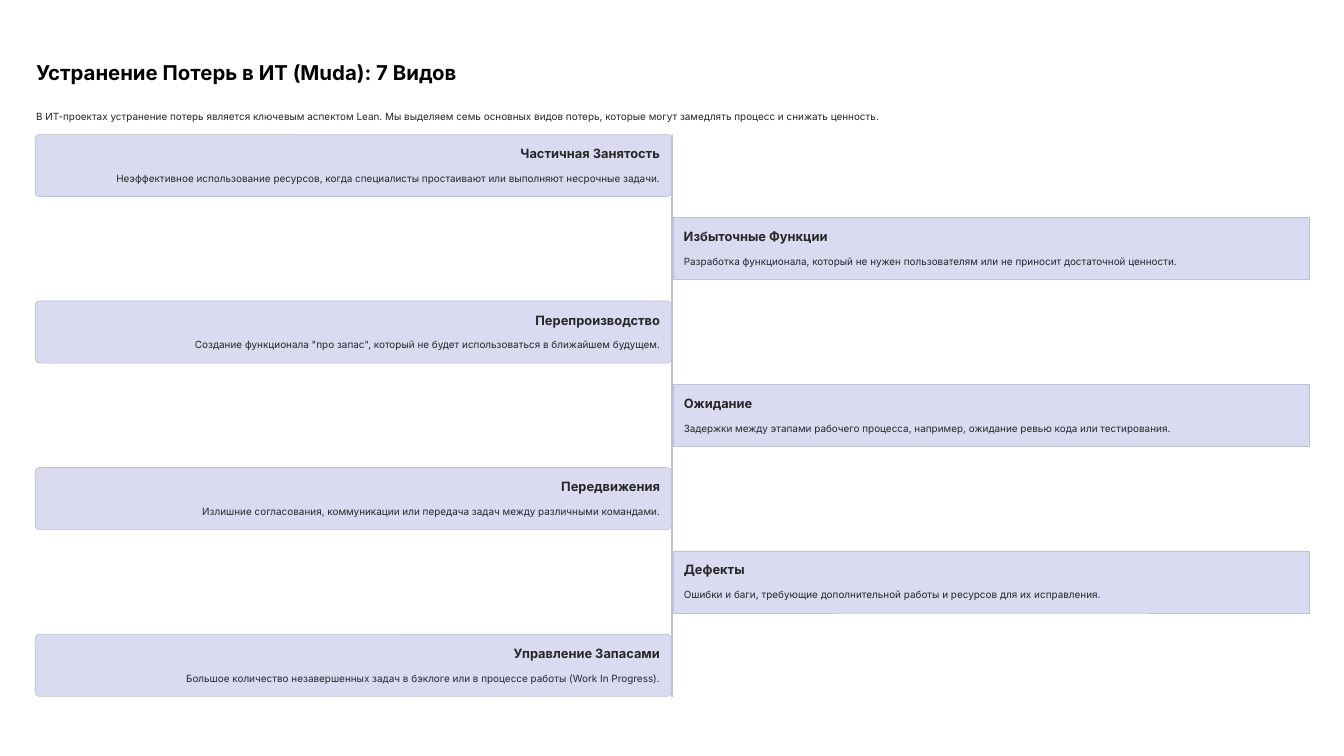
from pptx import Presentation
from pptx.dml.color import RGBColor
from pptx.enum import shapes, text
from pptx.util import Inches, Pt

TITLE = "Устранение Потерь в ИТ (Muda): 7 Видов"
INTRO = ("В ИТ-проектах устранение потерь является ключевым аспектом Lean. Мы выделяем семь основных "
         "видов потерь, которые могут замедлять процесс и снижать ценность.")

# Heading, heading width, description
WASTES = [
    ("Частичная Занятость", 1.68,
     "Неэффективное использование ресурсов, когда специалисты простаивают или выполняют несрочные задачи."),
    ("Избыточные Функции", 1.73,
     "Разработка функционала, который не нужен пользователям или не приносит достаточной ценности."),
    ("Перепроизводство", 1.55,
     "Создание функционала \"про запас\", который не будет использоваться в ближайшем будущем."),
    ("Ожидание", 1.55,
     "Задержки между этапами рабочего процесса, например, ожидание ревью кода или тестирования."),
    ("Передвижения", 1.55,
     "Излишние согласования, коммуникации или передача задач между различными командами."),
    ("Дефекты", 1.55,
     "Ошибки и баги, требующие дополнительной работы и ресурсов для их исправления."),
    ("Управление Запасами", 1.76,
     "Большое количество незавершенных задач в бэклоге или в процессе работы (Work In Progress)."),
]

COLORS = {"title": "000000", "body": "272525", "card": "DADBF1", "edge": "C0C1D7"}
FONT = "Inter"
LEFT, RIGHT = text.PP_ALIGN.LEFT, text.PP_ALIGN.RIGHT
HEADING = {"size": 11, "spacing": 13.5, "bold": True}
BODY = {"size": 8.5, "spacing": 14}

# Card grid
TOP, LAST_TOP = 1.6, 7.55
STEP = (LAST_TOP - TOP) / (len(WASTES) - 1)
CARD_WIDTH, CARD_HEIGHT = 7.57, 0.74
LEFT_CARD, RIGHT_CARD = 0.42, 8.02
TEXT_WIDTH = 7.31

deck = Presentation()
deck.slide_width, deck.slide_height = Inches(16), Inches(9)
page = deck.slides.add_slide(deck.slide_layouts[5])


def color(name):
    return RGBColor.from_string(COLORS[name])


def write(words, left, top, width, height, *, size, spacing, bold=False,
          align=LEFT, ink="body", box=None):
    area = [Inches(length) for length in (left, top, width, height)]
    if box is None:
        box = page.shapes.add_textbox(*area)
    box.left, box.top, box.width, box.height = area
    frame = box.text_frame
    frame.margin_left = frame.margin_right = frame.margin_top = frame.margin_bottom = 0
    frame.word_wrap = False
    frame.auto_size = text.MSO_AUTO_SIZE.NONE
    frame.vertical_anchor = text.MSO_ANCHOR.TOP
    para = frame.paragraphs[0]
    para.alignment = align
    para.line_spacing = Pt(spacing)
    para.space_before = Pt(0)
    span = para.add_run()
    span.text = words
    span.font.name, span.font.size, span.font.bold = FONT, Pt(size), bold
    span.font.color.rgb = color(ink)


def panel(kind, left, top, width, height, fill, corner=None, edge=None):
    shape = page.shapes.add_shape(kind, *[Inches(length) for length in (left, top, width, height)])
    shape.shadow.inherit = False
    shape.fill.solid()
    shape.fill.fore_color.rgb = color(fill)
    if corner is not None:
        shape.adjustments[0] = corner
    if edge:
        shape.line.color.rgb = color(edge)
        shape.line.width = Pt(0.6)
    else:
        shape.line.fill.background()


# Title and introduction
write(TITLE, 0.43, 0.7, 5.11, 0.31, size=17.5, spacing=22, bold=True,
      ink="title", box=page.shapes.title)
write(INTRO, 0.43, 1.26, 15.13, 0.2, **BODY)

# Central axis
panel(shapes.MSO_SHAPE.ROUNDED_RECTANGLE, 7.99, TOP, 0.02, 6.7, "edge", corner=0.5)

# Cards alternate on both sides of the axis
for index, (heading, heading_width, description) in enumerate(WASTES):
    top = TOP + index * STEP
    if index % 2 == 0:
        panel(shapes.MSO_SHAPE.ROUNDED_RECTANGLE, LEFT_CARD, top, CARD_WIDTH, CARD_HEIGHT,
              "card", corner=0.07, edge="edge")
        text_left, align = LEFT_CARD + 0.13, RIGHT
        heading_left = text_left + TEXT_WIDTH - heading_width
    else:
        panel(shapes.MSO_SHAPE.RECTANGLE, RIGHT_CARD, top, CARD_WIDTH, CARD_HEIGHT,
              "card", edge="edge")
        text_left, align = RIGHT_CARD + 0.12, LEFT
        heading_left = text_left
    write(heading, heading_left, top + 0.13, heading_width, 0.19, align=align, **HEADING)
    write(description, text_left, top + 0.4, TEXT_WIDTH, 0.2, align=align, **BODY)

deck.save("out.pptx")
